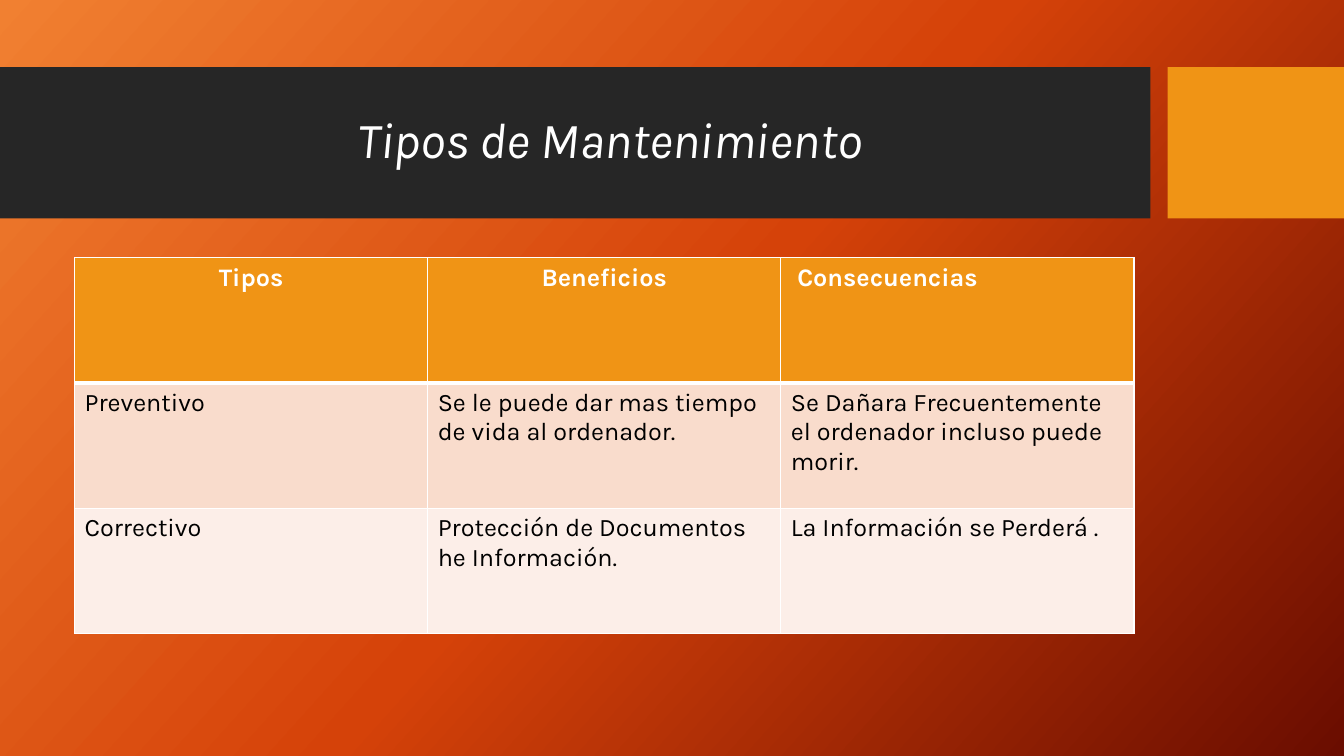
from copy import deepcopy
from dataclasses import dataclass

from lxml import etree
from pptx import Presentation
from pptx import util as u
from pptx.dml.color import RGBColor
from pptx.enum import shapes, text
from pptx.oxml import ns

Pt = u.Pt


@dataclass(frozen=True)
class Theme:
    font: str = "Karla"
    title: int = 36
    body: int = 18
    white: str = "FFFFFF"
    black: str = "000000"
    dark: str = "262626"
    gold: str = "F09415"
    bands: tuple = ("F9DCCC", "FCEEE8")
    glow: tuple = ((0, "F18031"), (0.5, "D54209"), (1, "6A0D00"))
    angle: int = 42


@dataclass(frozen=True)
class Box:
    x: float
    y: float
    w: float
    h: float

    def place(self):
        return Pt(self.x), Pt(self.y), Pt(self.w), Pt(self.h)


T = Theme()
CENTER = text.PP_ALIGN.CENTER
HEAD = ["Tipos", " Beneficios ", " Consecuencias"]
ROWS = [
    ["Preventivo", "Se le puede dar mas tiempo de vida al ordenador.",
     "Se Dañara Frecuentemente el ordenador incluso puede morir."],
    ["Correctivo", "Protección de Documentos he Información.",
     "La Información se Perderá ."],
]


def rgb(code):
    return RGBColor.from_string(code)


def write(para, words, size, color, bold=False, italic=False):
    run = para.add_run()
    run.text = words
    font = run.font
    font.name, font.size = T.font, Pt(size)
    font.bold, font.italic = bold, italic
    font.color.rgb = rgb(color)


def backdrop(slide):
    """Diagonal three-stop gradient."""
    fill = slide.background.fill
    fill.gradient()
    fill.gradient_angle = 360 - T.angle
    stops = slide.element.find(".//" + ns.qn("a:gsLst"))
    stops.append(deepcopy(stops[0]))
    for stop, (pos, color) in zip(fill.gradient_stops, T.glow):
        stop.position = pos
        stop.color.rgb = rgb(color)


def block(slide, box, color):
    shape = slide.shapes.add_shape(shapes.MSO_SHAPE.RECTANGLE, *box.place())
    shape.shadow.inherit = False
    shape.fill.solid()
    shape.fill.fore_color.rgb = rgb(color)
    shape.line.fill.background()


def banner(slide, box):
    """Dark title bar with a gold block at the right edge."""
    gold, gap = 126, 12.24
    bar = box.w - gold - gap
    block(slide, Box(box.x, box.y, bar, box.h), T.dark)
    block(slide, Box(box.x + box.w - gold, box.y, gold, box.h), T.gold)

    # Title text
    area = Box(box.x + 53.28, box.y + 10.8, 756.72, 85)
    frame = slide.shapes.add_textbox(*area.place()).text_frame
    frame.word_wrap = True
    frame.vertical_anchor = text.MSO_ANCHOR.MIDDLE
    para = frame.paragraphs[0]
    para.alignment, para.line_spacing = CENTER, 0.9
    write(para, " Tipos de Mantenimiento", T.title, T.white, italic=True)


def border(cell, sides):
    """Draw white cell borders; sides maps a side letter to a width."""
    props = cell._tc.get_or_add_tcPr()
    for spot, side in enumerate("LRTB"):
        line = etree.Element(ns.qn("a:ln" + side), w=str(Pt(sides[side])))
        paint = etree.SubElement(line, ns.qn("a:solidFill"))
        etree.SubElement(paint, ns.qn("a:srgbClr"), val=T.white)
        props.insert(spot, line)


def grid(slide, box):
    """Table with a gold heading and two tinted rows."""
    data = [HEAD] + ROWS
    table = slide.shapes.add_table(len(data), len(HEAD), *box.place()).table
    for col in table.columns:
        col.width = Pt(box.w / len(HEAD))
    for row in table.rows:
        row.height = Pt(box.h / len(data))

    for r, row in enumerate(data):
        top = r == 0
        for c, words in enumerate(row):
            cell = table.cell(r, c)
            cell.fill.solid()
            cell.fill.fore_color.rgb = rgb(T.gold if top else T.bands[r - 1])
            border(cell, {"L": 1, "R": 1, "T": 3 if r == 1 else 1,
                          "B": 3 if top else 1})
            para = cell.text_frame.paragraphs[0]
            if top and c < 2:
                para.alignment = CENTER
            write(para, words, T.body, T.white if top else T.black, bold=top)


def main():
    deck = Presentation()
    deck.slide_width, deck.slide_height = Pt(960), Pt(540)
    slide = deck.slides.add_slide(deck.slide_layouts[6])
    backdrop(slide)
    banner(slide, Box(0, 48, 960, 108))
    grid(slide, Box(53.28, 184.2, 756.72, 268.56))
    deck.save("out.pptx")


if __name__ == "__main__":
    main()
